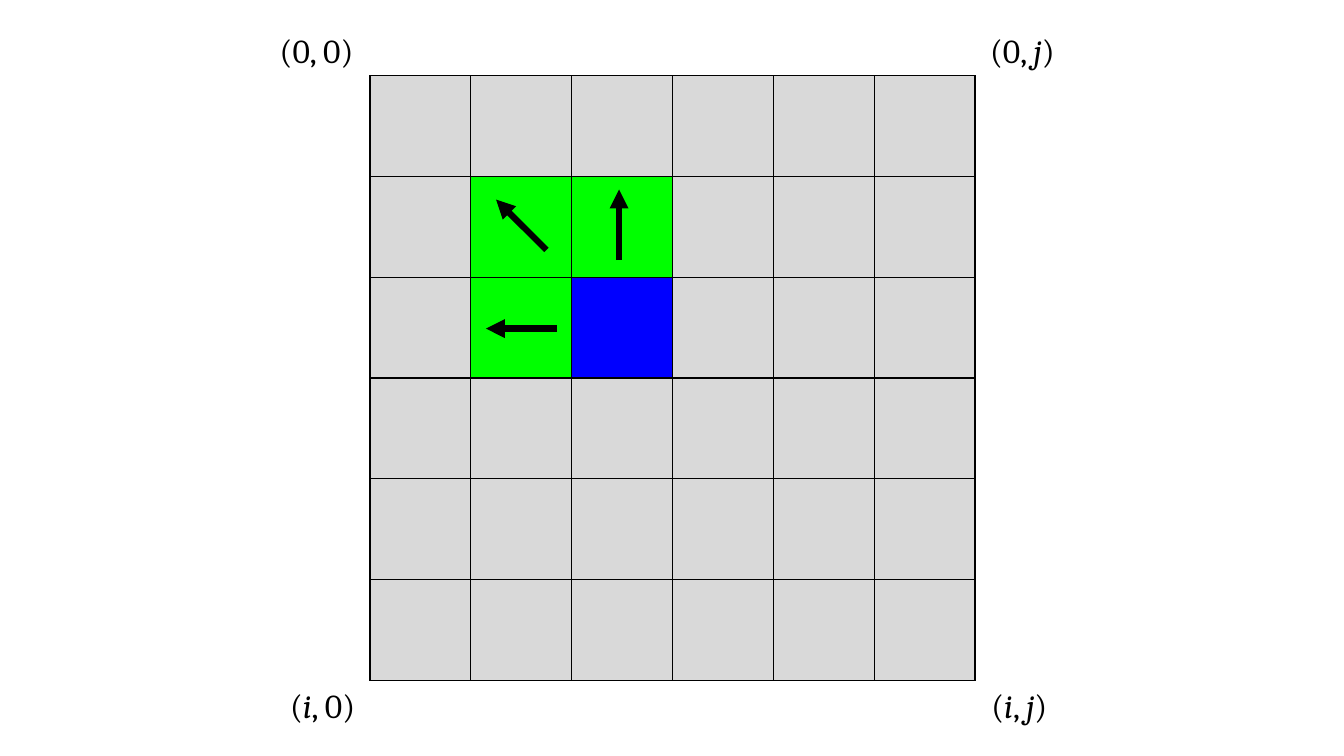
from itertools import groupby

from lxml import etree
from pptx import Presentation
from pptx import util as u
from pptx.dml.color import RGBColor
from pptx.enum import shapes, text
from pptx.oxml import parse_xml
from pptx.oxml.ns import nsdecls, qn

PX = 9144  # 100 px to the inch
COLORS = {"ink": "000000", "plain": "D9D9D9", "neighbour": "00FF00", "current": "0000FF"}
CELL, COUNT = 100, 6
GRID_LEFT, GRID_TOP = 367, 75
GRID_SIZE = CELL * COUNT
ROLES = {(1, 1): "neighbour", (1, 2): "neighbour", (2, 1): "neighbour", (2, 2): "current"}


def color(name):
    return RGBColor.from_string(COLORS[name])


deck = Presentation()
deck.slide_width, deck.slide_height = 1333 * PX, 750 * PX
page = deck.slides.add_slide(deck.slide_layouts[6])

# Grid of cells
grid = page.shapes.add_table(
    COUNT, COUNT, GRID_LEFT * PX, GRID_TOP * PX, GRID_SIZE * PX, GRID_SIZE * PX
).table
grid.first_row = grid.horz_banding = False
for row in range(COUNT):
    for column in range(COUNT):
        cell = grid.cell(row, column)
        properties = cell._tc.get_or_add_tcPr()
        for side in ("lnL", "lnR", "lnT", "lnB"):
            properties.append(parse_xml(
                f'<a:{side} {nsdecls("a")} w="{u.Pt(1)}"><a:solidFill>'
                f'<a:srgbClr val="{COLORS["ink"]}"/></a:solidFill></a:{side}>'
            ))
        cell.fill.solid()
        cell.fill.fore_color.rgb = color(ROLES.get((row, column), "plain"))

# Corner labels, with the index letters in italics
right, bottom = GRID_LEFT + GRID_SIZE, GRID_TOP + GRID_SIZE
for label, left, top, width in (
    ("(0, 0)", GRID_LEFT - 106, 25, 106),
    ("(i, j)", right, bottom, 88),
    ("(0, j)", right, 25, 94),
    ("(i, 0)", GRID_LEFT - 94, bottom, 94),
):
    box = page.shapes.add_textbox(left * PX, top * PX, width * PX, 50 * PX)
    box.text_frame.word_wrap = False
    box.text_frame.auto_size = text.MSO_AUTO_SIZE.SHAPE_TO_FIT_TEXT
    para = box.text_frame.paragraphs[0]
    para.alignment = text.PP_ALIGN.CENTER
    para.font.name, para.font.size = "Cambria", u.Pt(24)
    para.font.color.rgb = color("ink")
    for is_letter, characters in groupby(label, str.isalpha):
        span = para.add_run()
        span.text = "".join(characters)
        span.font.italic = is_letter

# Arrows pointing left, up and diagonally
for ends in ((552, 326, 482, 326), (614, 258, 614, 188), (542, 248, 492, 198)):
    arrow = page.shapes.add_connector(
        shapes.MSO_CONNECTOR.STRAIGHT, *(end * PX for end in ends)
    )
    arrow.line.width = u.Pt(4.5)
    arrow.line.color.rgb = color("ink")
    etree.SubElement(arrow.line._get_or_add_ln(), qn("a:tailEnd"), type="triangle")
    etree.SubElement(arrow._element.spPr, qn("a:effectLst"))

deck.save("out.pptx")
